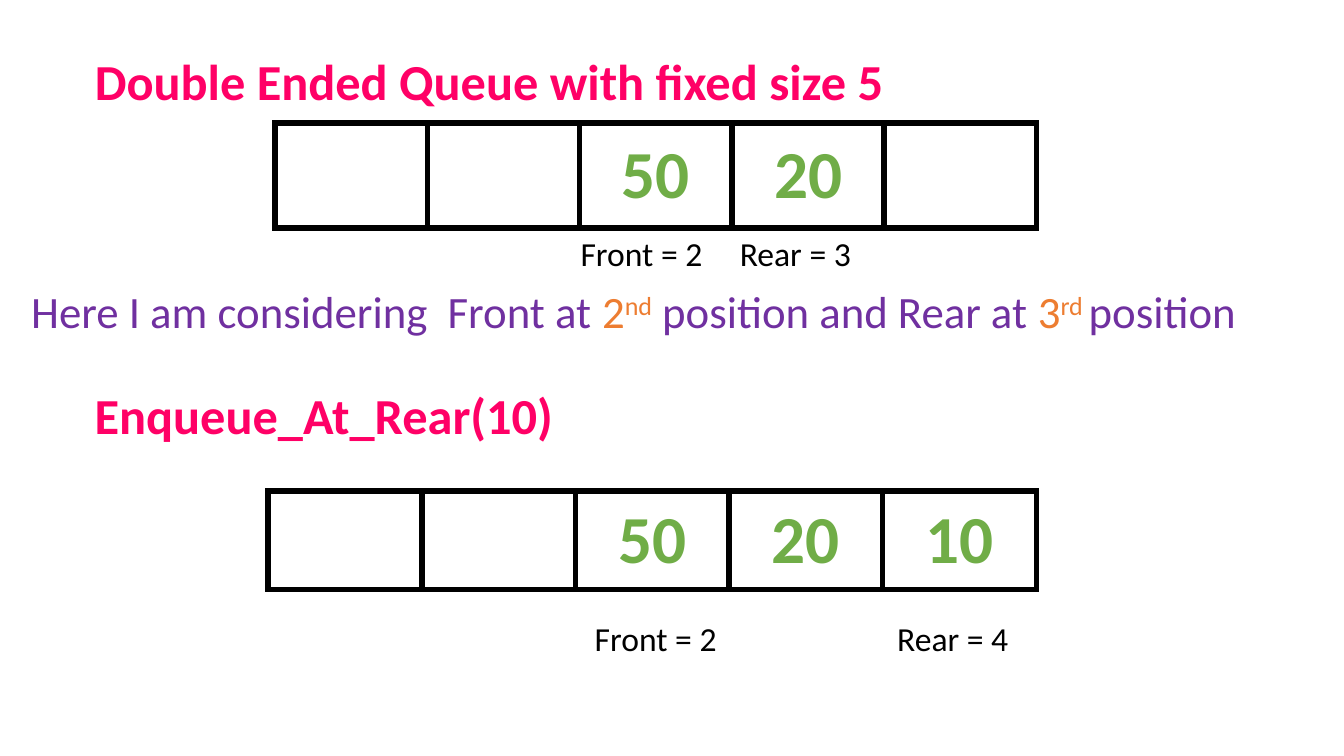
"""Build a slide showing a rear enqueue on a double ended queue."""
import dataclasses
import typing

import lxml.etree
import pptx
import pptx.dml.color
import pptx.enum.text
import pptx.oxml.ns
import pptx.util

Inches = pptx.util.Inches
FONT = "Calibri"
COLOURS = {
    "heading": "FF0066",
    "value": "70AD47",
    "label": "000000",
    "note": "7030A0",
    "position": "ED7D31",
    "border": "000000",
    "cell": "FFFFFF",
}


@dataclasses.dataclass(frozen=True)
class Box:
    """Position and size in inches."""
    left: float
    top: float
    width: float
    height: float


@dataclasses.dataclass(frozen=True)
class Queue:
    """Queue slots with the front and rear label beneath them."""
    box: Box
    values: tuple[str, ...]
    label: str
    label_box: Box
    rear_tab: float


QUEUES = (
    Queue(Box(2.73, 1.22, 7.55, 1.04), ("", "", "50", "20", ""),
          "Front = 2\tRear = 3", Box(5.66, 2.26, 3.33, 0.5), 1.58),
    Queue(Box(2.66, 4.87, 7.62, 0.98), ("", "", "50", "20", "10"),
          "Front = 2\tRear = 4", Box(5.8, 6.08, 4.48, 0.5), 3),
)
TITLE_BOX = Box(0.84, 0.45, 8.51, 0.71)
OPERATION_BOX = Box(0.84, 3.76, 8.51, 0.71)
NOTE_BOX = Box(0.21, 2.73, 13.12, 0.65)
NOTE_RUNS = (
    ("Here I am considering  Front at ", "note", False),
    ("2", "position", False),
    ("nd", "position", True),
    (" position and Rear at ", "note", False),
    ("3", "position", False),
    ("rd ", "position", True),
    ("position", "note", False),
)


def colour(name: str) -> pptx.dml.color.RGBColor:
    """Return the named colour."""
    return pptx.dml.color.RGBColor.from_string(COLOURS[name])


def add_text(paragraph: typing.Any, text: str, *, size: float, fill: str,
             bold: bool = False, superscript: bool = False) -> None:
    """Append a formatted run to a paragraph."""
    run = paragraph.add_run()
    run.text = text
    run.font.name = FONT
    run.font.size = pptx.util.Pt(size)
    run.font.bold = bold
    run.font.color.rgb = colour(fill)
    if superscript:
        run.font._element.set("baseline", "30000")


def prepare_text(shape: typing.Any, box: Box) -> typing.Any:
    """Place a text shape and return its first paragraph."""
    shape.left, shape.top = Inches(box.left), Inches(box.top)
    shape.width, shape.height = Inches(box.width), Inches(box.height)
    frame = shape.text_frame
    frame.word_wrap = True
    frame.auto_size = pptx.enum.text.MSO_AUTO_SIZE.SHAPE_TO_FIT_TEXT
    frame.vertical_anchor = pptx.enum.text.MSO_ANCHOR.TOP
    paragraph = frame.paragraphs[0]
    paragraph.alignment = pptx.enum.text.PP_ALIGN.LEFT
    return paragraph


def add_text_box(slide: typing.Any, box: Box) -> typing.Any:
    """Add a text box and return its first paragraph."""
    return prepare_text(slide.shapes.add_textbox(0, 0, 0, 0), box)


def add_tab_stop(paragraph: typing.Any, position: float) -> None:
    """Give a paragraph one left tab stop."""
    properties = paragraph._p.get_or_add_pPr()
    tabs = lxml.etree.SubElement(properties, pptx.oxml.ns.qn("a:tabLst"))
    lxml.etree.SubElement(tabs, pptx.oxml.ns.qn("a:tab"),
                          pos=str(Inches(position)), algn="l")


def add_borders(cell: typing.Any) -> None:
    """Draw all four borders of a table cell."""
    properties = cell._tc.get_or_add_tcPr()
    for index, side in enumerate("LRTB"):
        line = lxml.etree.Element(pptx.oxml.ns.qn(f"a:ln{side}"),
                                  w=str(pptx.util.Pt(4.5)))
        fill = lxml.etree.SubElement(line, pptx.oxml.ns.qn("a:solidFill"))
        lxml.etree.SubElement(fill, pptx.oxml.ns.qn("a:srgbClr"),
                              val=COLOURS["border"])
        properties.insert(index, line)


def add_queue(slide: typing.Any, queue: Queue) -> None:
    """Draw a queue as a one-row table with its label."""
    box = queue.box
    table = slide.shapes.add_table(
        1, len(queue.values), Inches(box.left), Inches(box.top),
        Inches(box.width), Inches(box.height)).table
    table.first_row = False
    table.horz_banding = False
    for cell, value in zip(table.iter_cells(), queue.values):
        cell.fill.solid()
        cell.fill.fore_color.rgb = colour("cell")
        add_borders(cell)
        cell.vertical_anchor = pptx.enum.text.MSO_ANCHOR.MIDDLE
        paragraph = cell.text_frame.paragraphs[0]
        paragraph.alignment = pptx.enum.text.PP_ALIGN.CENTER
        if value:
            add_text(paragraph, value, size=48, fill="value", bold=True)
    label = add_text_box(slide, queue.label_box)
    add_tab_stop(label, queue.rear_tab)
    add_text(label, queue.label, size=24, fill="label")


def main() -> None:
    """Build and save the presentation."""
    presentation = pptx.Presentation()
    presentation.slide_width = Inches(13.33)
    presentation.slide_height = Inches(7.5)
    slide = presentation.slides.add_slide(presentation.slide_layouts[5])

    title = prepare_text(slide.shapes.title, TITLE_BOX)
    add_text(title, "Double Ended Queue with fixed size 5",
             size=36, fill="heading", bold=True)
    for queue in QUEUES:
        add_queue(slide, queue)
    operation = add_text_box(slide, OPERATION_BOX)
    add_text(operation, "Enqueue_At_Rear(10)",
             size=36, fill="heading", bold=True)

    note = add_text_box(slide, NOTE_BOX)
    note.line_spacing = 1.07
    note.space_after = pptx.util.Pt(8)
    for text, fill, superscript in NOTE_RUNS:
        add_text(note, text, size=32, fill=fill, superscript=superscript)

    presentation.save("out.pptx")


if __name__ == "__main__":
    main()
